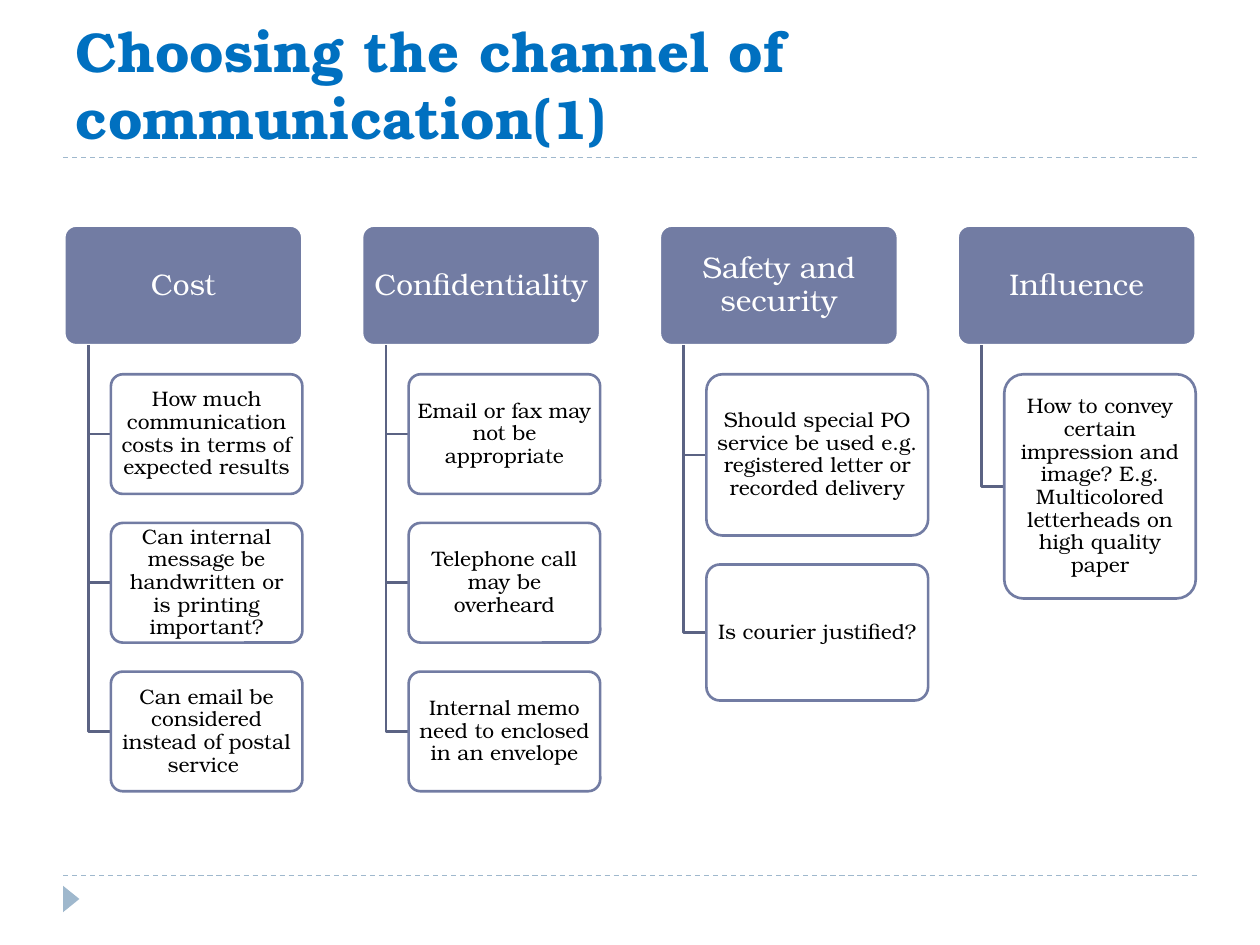
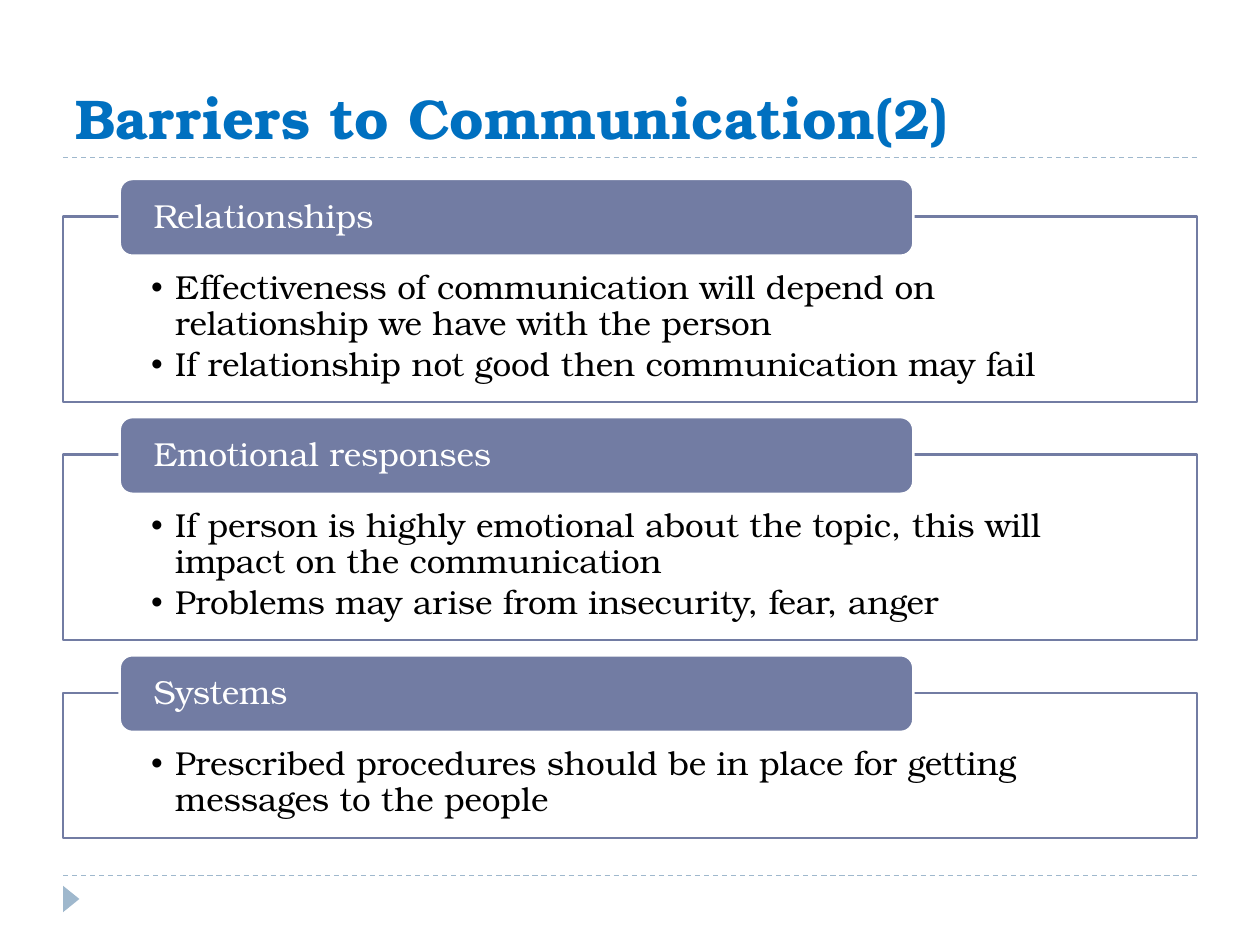
import pptx
import pptx.util
import pptx.dml.color
import pptx.enum.dml
import pptx.enum.shapes
import pptx.enum.text
import pptx.oxml.ns
import lxml.etree

Inches, Pt = pptx.util.Inches, pptx.util.Pt
MSO_SHAPE = pptx.enum.shapes.MSO_SHAPE
ALIGN = pptx.enum.text.PP_ALIGN
ANCHOR = pptx.enum.text.MSO_ANCHOR
qn = pptx.oxml.ns.qn

COLORS = {"title": "0070C0", "accent": "727CA3", "branch": "5B6383",
          "rule": "9FB8CD", "white": "FFFFFF", "black": "000000"}
FONT = "TeX Gyre Bonum"
MARGIN, CONTENT_W = 0.5, 9

CHANNEL_FACTORS = [
    ("Cost", 1.52, [
        (0.95, "How much communication costs in terms of expected results"),
        (0.95, "Can internal message be handwritten or is printing important?"),
        (0.95, "Can email be considered instead of postal service ")]),
    ("Confidentiality", 1.52, [
        (0.95, "Email or fax may not be appropriate"),
        (0.95, "Telephone call may be overheard"),
        (0.95, "Internal memo need to enclosed in an envelope")]),
    ("Safety and security", 1.76, [
        (1.28, "Should special PO service be used e.g. registered letter or recorded delivery"),
        (1.08, "Is courier justified?")]),
    ("Influence", 1.52, [
        (1.78, "How to convey certain impression and image? E.g. Multicolored "
               "letterheads on high quality paper")]),
]
BARRIERS = [
    ("Relationships", 1.47, [
        "Effectiveness of communication will depend on  relationship we have with the person",
        "If relationship not good then communication may fail"]),
    ("Emotional responses", 1.47, [
        "If person is highly emotional about the topic, this will impact on the communication",
        "Problems may arise from insecurity, fear, anger"]),
    ("Systems", 1.15, [
        "Prescribed procedures should be in place for getting messages to the people"]),
]


def rgb(name):
    return pptx.dml.color.RGBColor.from_string(COLORS[name])


def add_bullet(p):
    pPr = p._p.get_or_add_pPr()
    pPr.set("marL", str(Inches(0.19)))
    pPr.set("indent", str(-Inches(0.19)))
    lxml.etree.SubElement(pPr, qn("a:buFont")).set("typeface", "Arial")
    lxml.etree.SubElement(pPr, qn("a:buChar")).set("char", "•")


def write_text(sp, *lines, size=12, color="black", bold=False, align=ALIGN.LEFT,
               anchor=ANCHOR.MIDDLE, insets=(0.1, 0.05, 0.1, 0.05),
               spacing=0.9, after=0, bullet=False):
    tf = sp.text_frame
    tf.word_wrap = True
    tf.auto_size = pptx.enum.text.MSO_AUTO_SIZE.NONE
    tf.vertical_anchor = anchor
    tf.margin_left, tf.margin_top, tf.margin_right, tf.margin_bottom = map(Inches, insets)
    for i, line in enumerate(lines):
        p = tf.paragraphs[0] if i == 0 else tf.add_paragraph()
        p.alignment, p.line_spacing, p.space_after = align, spacing, Pt(after)
        if bullet:
            add_bullet(p)
        r = p.add_run()
        r.text = line
        r.font.name, r.font.size, r.font.bold = FONT, Pt(size), bold
        r.font.color.rgb = rgb(color)


def add_box(s, kind, x, y, w, h, fill, line=None, corner=None):
    sp = s.shapes.add_shape(kind, Inches(x), Inches(y), Inches(w), Inches(h))
    sp.shadow.inherit = False
    sp.fill.solid()
    sp.fill.fore_color.rgb = rgb(fill)
    if line:
        sp.line.color.rgb = rgb(line)
        sp.line.width = Pt(1.5)
    else:
        sp.line.fill.background()
    if corner:
        sp.adjustments[0] = corner
    return sp


def add_branch(s, x, top, end_x, end_y):
    x, top, end_x, end_y = map(Inches, (x, top, end_x, end_y))
    builder = s.shapes.build_freeform(x, top)
    builder.add_line_segments([(x, end_y), (end_x, end_y)], close=False)
    sp = builder.convert_to_shape()
    sp.shadow.inherit = False
    sp.fill.background()
    sp.line.color.rgb = rgb("branch")
    sp.line.width = Pt(1.5)


def add_rule(s, y):
    line = s.shapes.add_connector(pptx.enum.shapes.MSO_CONNECTOR.STRAIGHT, Inches(MARGIN),
                                  Inches(y), Inches(MARGIN + CONTENT_W), Inches(y))
    line.line.color.rgb = rgb("rule")
    line.line.width = Pt(0.75)
    line.line.dash_style = pptx.enum.dml.MSO_LINE.DASH
    lxml.etree.SubElement(line._element.spPr, qn("a:effectLst"))


def add_titled_slide(prs, title):
    s = prs.slides.add_slide(prs.slide_layouts[5])
    sp = s.shapes.title
    sp.left, sp.top = Inches(MARGIN), Inches(0.17)
    sp.width, sp.height = Inches(CONTENT_W), Inches(1.08)
    write_text(sp, title, size=32, color="title", bold=True, anchor=ANCHOR.BOTTOM, spacing=1.0)
    for y in (6.95, 1.25):
        add_rule(s, y)
    marker = add_box(s, MSO_SHAPE.ISOSCELES_TRIANGLE, 0.46, 7.07, 0.21, 0.13, "rule")
    marker.rotation = 90
    return s


def add_factor_column(s, x, heading, leaf_w, leaves):
    top, head_w, head_h, gap = 1.79, 1.89, 0.95, 0.23
    trunk_x, leaf_x = x + 0.19, x + 0.37
    sp = add_box(s, MSO_SHAPE.ROUNDED_RECTANGLE, x, top, head_w, head_h, "accent", "white", 0.1)
    write_text(sp, heading, size=17, color="white", align=ALIGN.CENTER,
               insets=(0.04, 0.02, 0.04, 0.02))
    y = top + head_h + gap
    for leaf_h, text in leaves:
        add_branch(s, trunk_x, top + head_h, leaf_x, y + leaf_h / 2)
        sp = add_box(s, MSO_SHAPE.ROUNDED_RECTANGLE, leaf_x, y, leaf_w, leaf_h,
                     "white", "accent", 0.1)
        write_text(sp, text, align=ALIGN.CENTER, insets=(0.03, 0.02, 0.03, 0.02))
        y += leaf_h + gap


def add_barrier(s, y, h, heading, points):
    panel = add_box(s, MSO_SHAPE.RECTANGLE, MARGIN, y, CONTENT_W, h, "white", "accent")
    write_text(panel, *points, size=19, anchor=ANCHOR.TOP,
               insets=(0.7, 0.43, 0.7, 0.15), after=3, bullet=True)
    tab = add_box(s, MSO_SHAPE.ROUNDED_RECTANGLE, 0.95, y - 0.3, 6.3, 0.61, "accent", "white")
    write_text(tab, heading, size=19, color="white", insets=(0.24, 0, 0.24, 0))


def main():
    """Build the two communication slides."""
    prs = pptx.Presentation()
    prs.slide_width, prs.slide_height = Inches(10), Inches(7.5)

    s = add_titled_slide(prs, "Choosing the channel of communication(1)")
    first_x, last_x = 0.51, 7.6
    step = (last_x - first_x) / (len(CHANNEL_FACTORS) - 1)
    for i, factor in enumerate(CHANNEL_FACTORS):
        add_factor_column(s, first_x + i * step, *factor)

    s = add_titled_slide(prs, "Barriers to Communication(2)")
    y, gap = 1.72, 0.42
    for heading, h, points in BARRIERS:
        add_barrier(s, y, h, heading, points)
        y += h + gap

    prs.save("out.pptx")


if __name__ == "__main__":
    main()
